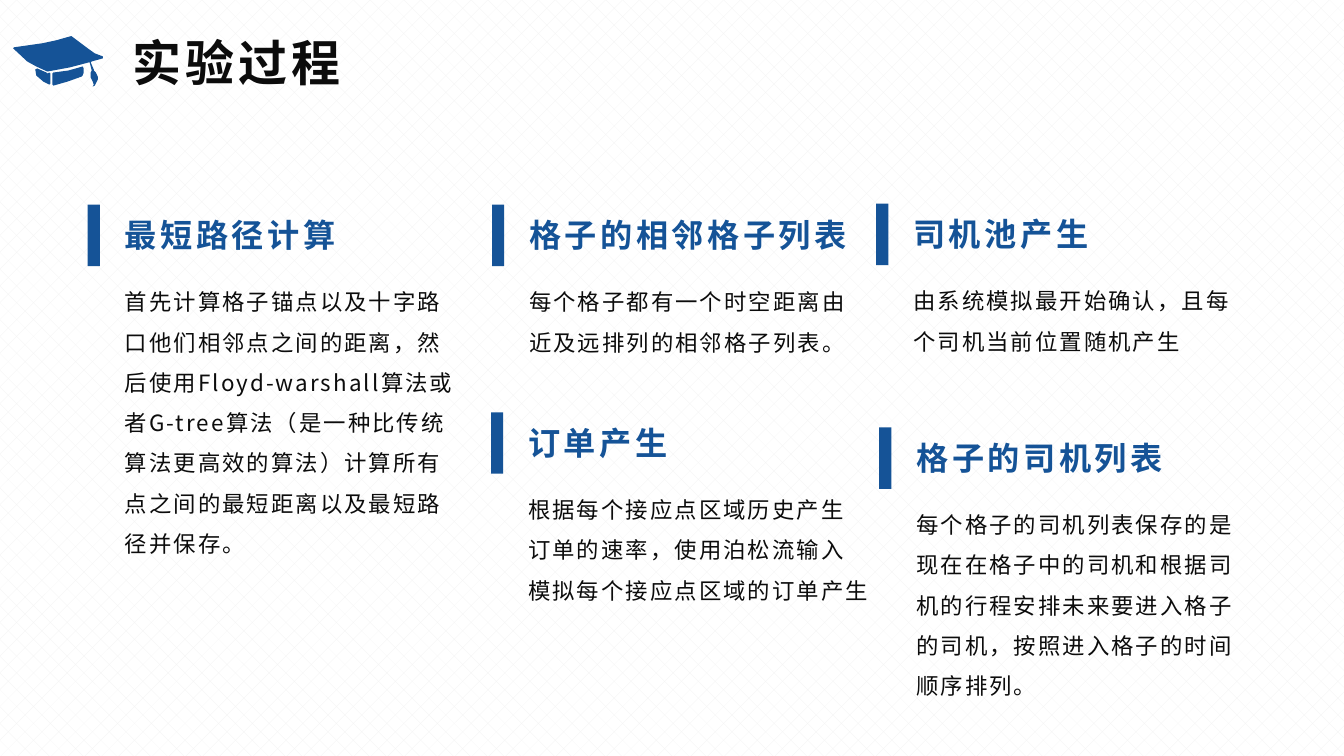
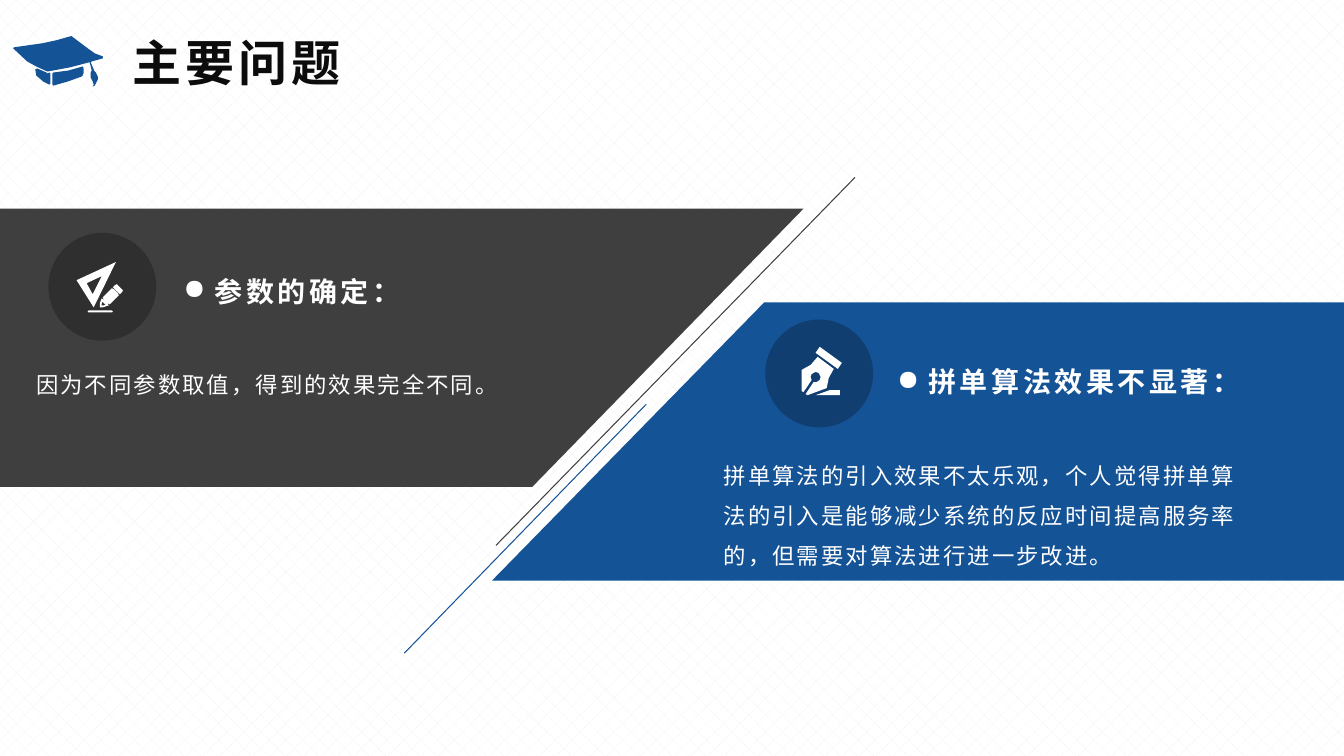
from lxml import etree
from pptx import Presentation
from pptx.dml.color import RGBColor
from pptx.enum import dml, shapes, text
from pptx.oxml.ns import qn
from pptx.util import Inches, Pt

FONT = "Noto Sans CJK SC"
BLUE, NAVY, GREY, DARK = "155397", "103E71", "3F3F3F", "2F2F2F"
INK, WHITE, PATTERN = "0C0C0C", "FFFFFF", "F2F2F2"
BULLET_INDENT = 0.31

# Outlines are lists of contours; each contour is a list of points in inches.
CAP = [
    [(0.5, 0.83), (0.5, 0.73), (0.49, 0.72), (0.47, 0.73), (0.46, 0.72),
     (0.37, 0.68), (0.35, 0.69), (0.36, 0.75), (0.43, 0.81), (0.49, 0.84)],
    [(0.93, 0.69), (0.93, 0.7), (0.95, 0.72), (0.97, 0.76), (0.97, 0.79),
     (0.94, 0.85), (0.92, 0.86), (0.93, 0.84), (0.92, 0.81), (0.9, 0.77),
     (0.9, 0.72), (0.91, 0.7), (0.89, 0.62), (0.88, 0.62), (0.69, 0.67),
     (0.47, 0.71), (0.36, 0.66), (0.27, 0.61), (0.13, 0.48), (0.14, 0.47),
     (0.42, 0.43), (0.56, 0.4), (0.7, 0.36), (0.71, 0.36), (0.87, 0.48),
     (0.94, 0.53), (1.02, 0.56), (1.02, 0.58), (0.91, 0.61), (0.9, 0.62)],
    [(0.82, 0.66), (0.83, 0.68), (0.83, 0.72), (0.82, 0.75), (0.81, 0.76),
     (0.67, 0.81), (0.53, 0.85), (0.52, 0.84), (0.52, 0.73), (0.53, 0.72),
     (0.68, 0.7)],
]
SET_SQUARE = [
    [(1.11, 3.08), (0.88, 3.08), (0.87, 3.09), (0.88, 3.1), (1.11, 3.1),
     (1.12, 3.09)],
    [(0.86, 2.81), (1.01, 2.74), (0.92, 2.92)],
    [(1.15, 2.6), (0.76, 2.78), (0.93, 3.05)],
    [(1.21, 2.87), (1.17, 2.83), (1.16, 2.82), (1.14, 2.83), (1.12, 2.85),
     (1.19, 2.92), (1.21, 2.9), (1.22, 2.88)],
    [(1.01, 3.03), (1.01, 3.01), (1.02, 2.99), (1.03, 3.01), (1.05, 3.02),
     (1.03, 3.03)],
    [(0.99, 3.02), (0.99, 3.05), (1.02, 3.05), (1.05, 3.04), (1.08, 3.03),
     (1.05, 2.99), (1.01, 2.96), (0.99, 3.01)],
    [(1.13, 2.87), (1.11, 2.86), (1.02, 2.95), (1.03, 2.97), (1.07, 3.01),
     (1.09, 3.02), (1.18, 2.93), (1.17, 2.91)],
]
PEN_NIB = [
    [(7.97, 3.89), (7.95, 3.88), (7.95, 3.67), (8.04, 3.62), (8.11, 3.54),
     (8.27, 3.66), (8.22, 3.75), (8.2, 3.85), (8.01, 3.92), (7.99, 3.91),
     (8.07, 3.79), (8.1, 3.79), (8.13, 3.77), (8.14, 3.74), (8.12, 3.7),
     (8.09, 3.69), (8.05, 3.71), (8.04, 3.74), (8.05, 3.77)],
    [(8.09, 3.92), (8.33, 3.92), (8.33, 3.87), (8.23, 3.87)],
    [(8.31, 3.66), (8.35, 3.6), (8.13, 3.44), (8.09, 3.5)],
]

# left and top of the bar, heading, body, number of body lines
STEPS = [
    (0.87, 2.03, "最短路径计算",
     "首先计算格子锚点以及十字路口他们相邻点之间的距离，然后使用Floyd-warshall算法"
     "或者G-tree算法（是一种比传统算法更高效的算法）计算所有点之间的最短距离以及"
     "最短路径并保存。", 7),
    (4.88, 2.03, "格子的相邻格子列表",
     "每个格子都有一个时空距离由近及远排列的相邻格子列表。", 2),
    (4.87, 4.09, "订单产生",
     "根据每个接应点区域历史产生订单的速率，使用泊松流输入模拟每个接应点区域的订单产生", 3),
    (8.69, 2.02, "司机池产生",
     "由系统模拟最开始确认，且每个司机当前位置随机产生", 2),
    (8.72, 4.24, "格子的司机列表",
     "每个格子的司机列表保存的是现在在格子中的司机和根据司机的行程安排未来要进入"
     "格子的司机，按照进入格子的时间顺序排列。", 5),
]
PROBLEMS = [
    dict(panel=[(0, 2.07), (7.97, 2.07), (5.28, 4.83), (0, 4.83)], fill=GREY,
         line=((8.48, 1.76), (4.92, 5.41)), disc=(0.48, 2.31), disc_fill=DARK,
         icon=SET_SQUARE, heading="参数的确定：", heading_at=(1.72, 2.67),
         body="因为不同参数取值，得到的效果完全不同。", body_at=(0.26, 3.5), lines=1),
    dict(panel=[(7.58, 3), (13.33, 3), (13.33, 5.76), (4.88, 5.76)], fill=BLUE,
         line=((6.41, 4.01), (4.01, 6.48)), disc=(7.59, 3.17), disc_fill=NAVY,
         icon=PEN_NIB, heading="拼单算法效果不显著：", heading_at=(8.8, 3.57),
         body="拼单算法的引入效果不太乐观，个人觉得拼单算法的引入是能够减少系统的反应时间"
              "提高服务率的，但需要对算法进行进一步改进。", body_at=(7.08, 4.4), lines=3),
]


def rgb(color):
    return RGBColor.from_string(color)


def paint(sp, color):
    sp.shadow.inherit = False
    sp.fill.solid()
    sp.fill.fore_color.rgb = rgb(color)
    sp.line.fill.background()


def write(tf, content, size, color, bold=False, spacing=1.5, line=1.0,
          bullet=None, wrap=True):
    tf.word_wrap = wrap
    tf.vertical_anchor = text.MSO_ANCHOR.TOP
    p = tf.paragraphs[0]
    p.alignment = text.PP_ALIGN.LEFT
    p.line_spacing = line
    p.space_before = Pt(0)
    if bullet:
        pPr = p._p.get_or_add_pPr()
        pPr.set("marL", str(Inches(BULLET_INDENT)))
        pPr.set("indent", str(-Inches(BULLET_INDENT)))
        etree.SubElement(pPr, qn("a:buChar")).set("char", bullet)
    r = p.add_run()
    r.text = content
    r.font.size = Pt(size)
    r.font.bold = bold
    r.font.color.rgb = rgb(color)
    r.font.name = FONT
    rPr = r._r.get_or_add_rPr()
    rPr.set("spc", str(int(spacing * 100)))
    etree.SubElement(rPr, qn("a:ea")).set("typeface", FONT)


def add_text(slide, x, y, w, h, content, **style):
    box = slide.shapes.add_textbox(Inches(x), Inches(y), Inches(w), Inches(h))
    write(box.text_frame, content, **style)


def add_heading(slide, x, y, content, size, color, bullet=None):
    """One unwrapped line whose box is as wide as its characters."""
    spacing = 2.5
    indent = BULLET_INDENT if bullet else 0
    width = 0.2 + indent + len(content) * (size + spacing) / 72
    add_text(slide, x, y, width, 0.1 + size * 1.2 / 72, content, size=size,
             color=color, bold=True, spacing=spacing, bullet=bullet, wrap=False)


def add_body(slide, x, y, w, lines, content, color):
    add_text(slide, x, y, w, 0.1 + 0.4 * lines, content, size=16, color=color,
             line=1.5)


def add_block(slide, kind, x, y, w, h, color):
    paint(slide.shapes.add_shape(kind, Inches(x), Inches(y), Inches(w),
                                 Inches(h)), color)


def add_outline(slide, contours, color):
    builder = None
    for contour in contours:
        start, *rest = [(Inches(x), Inches(y)) for x, y in contour]
        if builder is None:
            builder = slide.shapes.build_freeform(*start, scale=1.0)
        else:
            builder.move_to(*start)
        builder.add_line_segments(rest, close=True)
    paint(builder.convert_to_shape(), color)


def add_line(slide, start, end, color):
    ends = [Inches(v) for v in (*start, *end)]
    line = slide.shapes.add_connector(shapes.MSO_CONNECTOR.STRAIGHT, *ends)
    line.line.color.rgb = rgb(color)
    line.line.width = Pt(0.75)
    etree.SubElement(line._element.spPr, qn("a:effectLst"))


def set_background(prs):
    fill = prs.slide_master.background.fill
    fill.patterned()
    fill.pattern = dml.MSO_PATTERN.DIAGONAL_BRICK
    fill.fore_color.rgb = rgb(PATTERN)
    fill.back_color.rgb = rgb(WHITE)


def new_slide(prs, title):
    slide = prs.slides.add_slide(prs.slide_layouts[5])
    sp = slide.shapes.title
    sp.left, sp.top = Inches(1.21), Inches(0.27)
    sp.width, sp.height = Inches(9.55), Inches(0.69)
    write(sp.text_frame, title, size=35, color=INK, bold=True, spacing=3)
    add_outline(slide, CAP, BLUE)
    return slide


def build_process(prs):
    slide = new_slide(prs, "实验过程")
    for x, y, heading, body, lines in STEPS:
        add_block(slide, shapes.MSO_SHAPE.RECTANGLE, x, y, 0.12, 0.61, BLUE)
        add_heading(slide, x + 0.27, y + 0.06, heading, 23, BLUE)
        add_body(slide, x + 0.27, y + 0.65, 3.58, lines, body, INK)


def build_problems(prs):
    slide = new_slide(prs, "主要问题")
    for item in PROBLEMS:
        add_outline(slide, [item["panel"]], item["fill"])
        add_line(slide, *item["line"], item["fill"])
        add_block(slide, shapes.MSO_SHAPE.OVAL, *item["disc"], 1.07, 1.07,
                  item["disc_fill"])
        add_outline(slide, item["icon"], WHITE)
        add_heading(slide, *item["heading_at"], item["heading"], 20, WHITE,
                    bullet="●")
        add_body(slide, *item["body_at"], 5.48, item["lines"], item["body"],
                 WHITE)


def main():
    prs = Presentation()
    prs.slide_width, prs.slide_height = Inches(13.33), Inches(7.5)
    set_background(prs)
    build_process(prs)
    build_problems(prs)
    prs.save("out.pptx")


if __name__ == "__main__":
    main()
